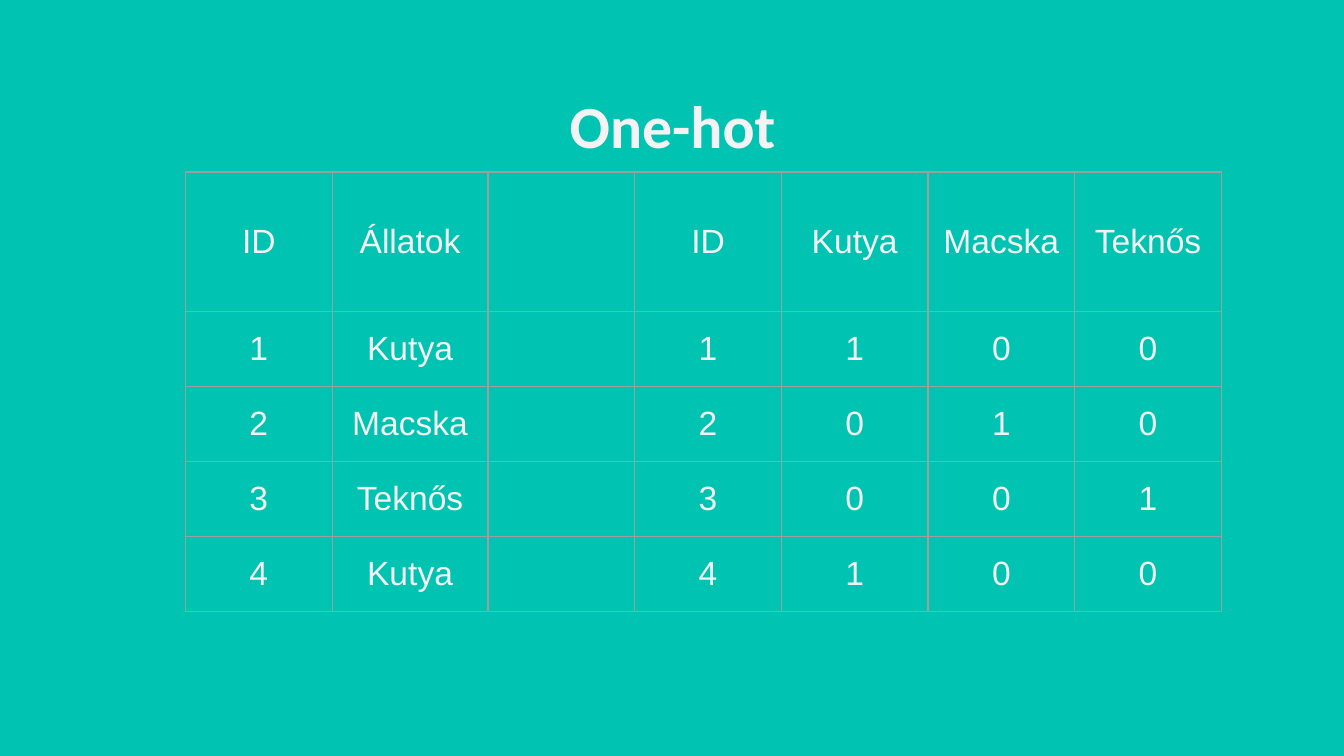
from dataclasses import dataclass

from lxml.etree import SubElement
from pptx import Presentation
from pptx.dml.color import RGBColor
from pptx.enum.text import MSO_ANCHOR, PP_ALIGN
from pptx.oxml.ns import qn
from pptx.slide import Slide
from pptx.table import _Cell
from pptx.text.text import _Paragraph
from pptx.util import Inches, Pt


@dataclass(frozen=True)
class Theme:
    background: RGBColor = RGBColor(0x00, 0xC3, 0xB1)
    text: RGBColor = RGBColor(0xF3, 0xF3, 0xF3)
    border: RGBColor = RGBColor(0x9E, 0x9E, 0x9E)
    border_width: Pt = Pt(0.75)
    title_font: str = "Calibri"
    title_size: Pt = Pt(32)
    table_font: str = "Arial"
    table_size: Pt = Pt(18)


@dataclass(frozen=True)
class Animal:
    number: int
    species: str


THEME = Theme()
SPECIES = ["Kutya", "Macska", "Teknős"]
ANIMALS = [Animal(1, "Kutya"), Animal(2, "Macska"), Animal(3, "Teknős"), Animal(4, "Kutya")]
TABLE_WIDTH, TABLE_HEIGHT = 7.71, 3.27
SPECIES_WIDTH, HEADER_HEIGHT = 1.16, 1.04
NARROW_WIDTH = (TABLE_WIDTH - SPECIES_WIDTH) / 6
COLUMN_WIDTHS = [NARROW_WIDTH, SPECIES_WIDTH] + [NARROW_WIDTH] * 5
ROW_HEIGHTS = [HEADER_HEIGHT] + [(TABLE_HEIGHT - HEADER_HEIGHT) / len(ANIMALS)] * len(ANIMALS)


def format_paragraph(paragraph: _Paragraph, font: str, size: Pt, bold: bool) -> None:
    paragraph.alignment = PP_ALIGN.CENTER
    paragraph.font.name = font
    paragraph.font.size = size
    paragraph.font.bold = bold
    paragraph.font.color.rgb = THEME.text


def encoded_rows() -> list[list[str]]:
    """Header and one row per animal: its species, a gap, then its one-hot code."""
    rows = [["ID", "Állatok", "", "ID", *SPECIES]]
    for animal in ANIMALS:
        code = [str(int(animal.species == species)) for species in SPECIES]
        rows.append([str(animal.number), animal.species, "", str(animal.number), *code])
    return rows


def add_borders(cell: _Cell) -> None:
    properties = cell._tc.get_or_add_tcPr()
    for position, side in enumerate(("lnL", "lnR", "lnT", "lnB")):
        line = SubElement(properties, qn(f"a:{side}"), w=str(THEME.border_width))
        fill = SubElement(line, qn("a:solidFill"))
        SubElement(fill, qn("a:srgbClr"), val=str(THEME.border))
        properties.insert(position, line)  # borders must precede the cell fill


def fill_cell(cell: _Cell, text: str) -> None:
    cell.fill.background()
    add_borders(cell)
    cell.vertical_anchor = MSO_ANCHOR.MIDDLE
    cell.margin_left = cell.margin_right = cell.margin_top = cell.margin_bottom = 0
    cell.text = text
    format_paragraph(cell.text_frame.paragraphs[0], THEME.table_font, THEME.table_size, False)


def add_title(slide: Slide, text: str) -> None:
    title = slide.shapes.title
    title.left, title.top = Inches(0.79), Inches(0.56)
    title.width, title.height = Inches(8.43), Inches(0.63)
    frame = title.text_frame
    frame.margin_left = frame.margin_right = Inches(0.1)
    frame.margin_top = frame.margin_bottom = Inches(0.1)
    frame.vertical_anchor = MSO_ANCHOR.TOP
    frame.text = text
    format_paragraph(frame.paragraphs[0], THEME.title_font, THEME.title_size, True)


def add_encoding_table(slide: Slide) -> None:
    table = slide.shapes.add_table(
        len(ROW_HEIGHTS), len(COLUMN_WIDTHS), Inches(1.38), Inches(1.28),
        Inches(TABLE_WIDTH), Inches(TABLE_HEIGHT),
    ).table
    table.first_row = False
    table.horz_banding = False
    for column, width in zip(table.columns, COLUMN_WIDTHS):
        column.width = Inches(width)
    for row, height, texts in zip(table.rows, ROW_HEIGHTS, encoded_rows()):
        row.height = Inches(height)
        for cell, text in zip(row.cells, texts):
            fill_cell(cell, text)


def main() -> None:
    presentation = Presentation()
    presentation.slide_width = Inches(10)
    presentation.slide_height = Inches(10 * 9 / 16)
    slide = presentation.slides.add_slide(presentation.slide_layouts[5])
    slide.background.fill.solid()
    slide.background.fill.fore_color.rgb = THEME.background
    add_title(slide, "One-hot")
    add_encoding_table(slide)
    presentation.save("out.pptx")


if __name__ == "__main__":
    main()
